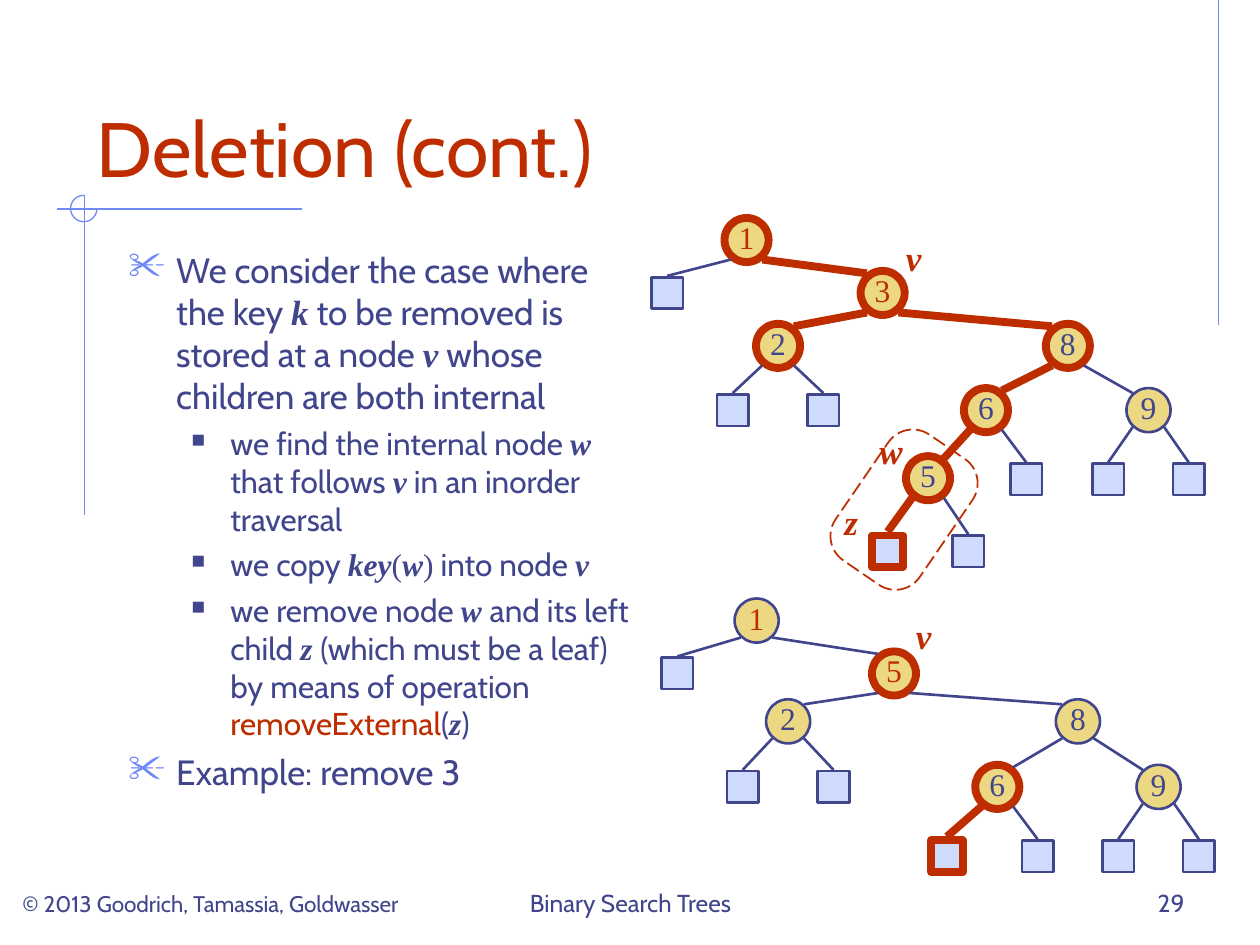
from dataclasses import dataclass
from pptx import Presentation, util as u
from pptx.dml.color import RGBColor
from pptx.enum import dml, shapes, text
from pptx.oxml.ns import qn
from lxml import etree


@dataclass(frozen=True)
class Theme:
    ink: str = "40458C"
    accent: str = "BE2D00"
    rule: str = "6F89F7"
    node: str = "ECD882"
    leaf: str = "CFDBFD"
    sans: str = "Cabin"
    serif: str = "Times New Roman"
    title: float = 44
    body: float = 20
    detail: float = 18
    key: float = 18
    mark: float = 20
    footer: float = 14
    credit: float = 12.9
    thin: float = 1.5
    thick: float = 4.5


@dataclass(frozen=True)
class Node:
    """A tree position; key None is a leaf, hot gives the thick outline."""
    key: str | None
    left: float
    top: float
    hot: bool = False
    red_key: bool = False
    children: tuple = ()

    @property
    def size(self):
        return 0.35 if self.key else 0.25

    @property
    def center(self):
        return self.left + self.size / 2, self.top + self.size / 2


THEME = Theme()

# Run styles: font, bold italic, colour
STYLES = {"text": (THEME.sans, False, THEME.ink),
          "var": (THEME.serif, True, THEME.ink),
          "math": (THEME.serif, False, THEME.ink),
          "call": (THEME.sans, False, THEME.accent),
          "mark": (THEME.serif, True, THEME.accent),
          "red key": (THEME.serif, False, THEME.accent)}

# Level, then runs as (words, style)
BODY = [
    (0, [("We consider the case where the key ", "text"), ("k", "var"),
         (" to be removed is stored at a node ", "text"), ("v", "var"),
         (" whose children are both internal", "text")]),
    (1, [("we find the internal node ", "text"), ("w ", "var"), ("that follows ", "text"),
         ("v", "var"), (" in an inorder traversal", "text")]),
    (1, [("we copy ", "text"), ("key", "var"), ("(", "math"), ("w", "var"), (")", "math"),
         (" into node ", "text"), ("v", "var")]),
    (1, [("we remove node ", "text"), ("w ", "var"), ("and its left child ", "text"),
         ("z ", "var"), ("(which must be a leaf) by means of operation ", "text"),
         ("removeExternal", "call"), ("(", "text"), ("z", "var"), (")", "text")]),
    (0, [("Example: remove 3", "text")]),
]
# Level: indent, hanging, space before, bullet, bullet colour, bullet percent, size
LEVELS = [(0.38, 0.38, 5, "✂", THEME.rule, 110, THEME.body),
          (0.81, 0.31, 4.5, "■", THEME.ink, 60, THEME.detail)]

# Words, box, alignment, size, colour
LABELS = [
    ("Deletion (cont.)", (0.67, 0.33, 8.75, 1.25), "LEFT", THEME.title, "call"),
    ("Binary Search Trees", (3.42, 6.83, 3.17, 0.5), "CENTER", THEME.footer, "text"),
    ("29", (7.17, 6.83, 2.33, 0.5), "RIGHT", THEME.footer, "text"),
    ("© 2013 Goodrich, Tamassia, Goldwasser", (0.08, 6.83, 3.83, 0.5), "LEFT",
     THEME.credit, "text"),
]
MARKS = [("v", (7.09, 1.83, 0.32, 0.44)), ("w", (6.88, 3.36, 0.38, 0.44)),
         ("z", (6.6, 3.92, 0.31, 0.44)), ("v", (7.17, 4.83, 0.32, 0.44))]
RULES = [((9.67, 0), (9.67, 2.58)), ((2.4, 1.66), (0.45, 1.66)), ((0.67, 1.55), (0.67, 4.09))]


def leaf(left, top, hot=False):
    return Node(None, left, top, hot)


BEFORE = Node("1", 5.75, 1.73, True, True, (
    leaf(5.17, 2.2),
    Node("3", 6.83, 2.15, True, True, (
        Node("2", 6, 2.57, True, False, (leaf(5.69, 3.13), leaf(6.41, 3.13))),
        Node("8", 8.3, 2.57, True, False, (
            Node("6", 7.65, 3.08, True, False, (
                Node("5", 7.19, 3.62, True, False, (leaf(6.92, 4.25, True), leaf(7.56, 4.25))),
                leaf(8.02, 3.68))),
            Node("9", 8.94, 3.08, False, False, (leaf(8.67, 3.68), leaf(9.31, 3.68)))))))))
AFTER = Node("1", 5.83, 4.75, False, True, (
    leaf(5.25, 5.22),
    Node("5", 6.92, 5.17, True, True, (
        Node("2", 6.08, 5.55, False, False, (leaf(5.77, 6.12), leaf(6.49, 6.12))),
        Node("8", 8.38, 5.55, False, False, (
            Node("6", 7.74, 6.07, True, False, (leaf(7.39, 6.67, True), leaf(8.11, 6.67))),
            Node("9", 9.02, 6.07, False, False, (leaf(8.75, 6.67), leaf(9.39, 6.67)))))))))


def inches(values):
    return [u.Inches(value) for value in values]


def add_run(para, words, style, size):
    span = para.add_run()
    span.text = words
    face, strong, colour = STYLES[style]
    font = span.font
    font.name, font.size = face, u.Pt(size)
    font.bold = font.italic = strong
    font.color.rgb = RGBColor.from_string(colour)


def add_box(slide, place, anchor="TOP", wrap=True):
    frame = slide.shapes.add_textbox(*inches(place)).text_frame
    frame.word_wrap = wrap
    frame.vertical_anchor = text.MSO_ANCHOR[anchor]
    return frame


def add_line(slide, start, end, colour, width):
    line = slide.shapes.add_connector(shapes.MSO_CONNECTOR.STRAIGHT, *inches(start + end))
    line.line.color.rgb = RGBColor.from_string(colour)
    line.line.width = u.Pt(width)
    etree.SubElement(line._element.spPr, qn("a:effectLst"))


def add_outline(slide, kind, place, colour, width, fill=None):
    shape = slide.shapes.add_shape(shapes.MSO_SHAPE[kind], *inches(place))
    shape.shadow.inherit = False
    if fill:
        shape.fill.solid()
        shape.fill.fore_color.rgb = RGBColor.from_string(fill)
    else:
        shape.fill.background()
    shape.line.color.rgb = RGBColor.from_string(colour)
    shape.line.width = u.Pt(width)
    return shape


def stroke(hot):
    return (THEME.accent, THEME.thick) if hot else (THEME.ink, THEME.thin)


def add_tree(slide, node):
    kind, fill = ("OVAL", THEME.node) if node.key else ("RECTANGLE", THEME.leaf)
    shape = add_outline(slide, kind, (node.left, node.top, node.size, node.size),
                        *stroke(node.hot), fill)
    if node.key:
        frame = shape.text_frame
        frame.margin_left = frame.margin_right = frame.margin_top = 0
        frame.margin_bottom = u.Inches(0.05)
        frame.word_wrap = False
        frame.vertical_anchor = text.MSO_ANCHOR.MIDDLE
        para = frame.paragraphs[0]
        para.alignment = text.PP_ALIGN.CENTER
        add_run(para, node.key, "red key" if node.red_key else "math", THEME.key)
    for side, child in zip((-1, 1), node.children):
        add_tree(slide, child)
        add_edge(slide, node, child, side)


def add_edge(slide, parent, child, side):
    """Join the lower corner of a parent to the facing upper corner or top of a child."""
    def reach(node):
        return 0.155 if node.hot else 0.135

    x, y = parent.center
    child_x, child_y = child.center
    start = (x + side * 0.125, y + reach(parent))
    if child.key:
        end = (child_x - side * 0.125, child_y - reach(child))
    else:
        end = (child_x, child.top - (0.03 if child.hot else 0.01))
    add_line(slide, start, end, *stroke(parent.hot and child.hot))


def set_bullet(para, level):
    indent, hanging, _, sign, colour, percent, _ = LEVELS[level]
    props = para._p.get_or_add_pPr()
    props.set("marL", str(u.Inches(indent)))
    props.set("indent", str(-u.Inches(hanging)))
    paint = etree.SubElement(props, qn("a:buClr"))
    etree.SubElement(paint, qn("a:srgbClr"), val=colour)
    etree.SubElement(props, qn("a:buSzPct"), val=str(percent * 1000))
    etree.SubElement(props, qn("a:buChar"), char=sign)


def add_body(slide):
    frame = add_box(slide, (0.92, 1.92, 4.25, 4.5))
    for number, (level, runs) in enumerate(BODY):
        para = frame.add_paragraph() if number else frame.paragraphs[0]
        para.level = level
        set_bullet(para, level)
        para.space_before = u.Pt(LEVELS[level][2] if number else 0)
        for words, style in runs:
            add_run(para, words, style, LEVELS[level][-1])


def main():
    deck = Presentation()
    deck.slide_width, deck.slide_height = inches((10, 7.5))
    page = deck.slides.add_slide(deck.slide_layouts[6])
    for start, end in RULES:
        add_line(page, start, end, THEME.rule, 0.75)
    arc = add_outline(page, "ARC", (0.56, 1.55, 0.21, 0.21), THEME.rule, 0.75)
    arc.adjustments[0], arc.adjustments[1] = 0, 162  # clockwise from right to top
    for words, place, align, size, style in LABELS:
        para = add_box(page, place, "BOTTOM").paragraphs[0]
        para.alignment = text.PP_ALIGN[align]
        add_run(para, words, style, size)
    add_body(page)
    for tree in (BEFORE, AFTER):
        add_tree(page, tree)
    for words, place in MARKS:
        para = add_box(page, place, wrap=False).paragraphs[0]
        para.alignment = text.PP_ALIGN.CENTER
        add_run(para, words, "mark", THEME.mark)
    removed = add_outline(page, "ROUNDED_RECTANGLE", (6.57, 3.64, 1.21, 0.81), THEME.accent, 1)
    removed.adjustments[0] = 0.29
    removed.rotation = 304.4
    removed.line.dash_style = dml.MSO_LINE.LONG_DASH
    deck.save("out.pptx")


if __name__ == "__main__":
    main()
